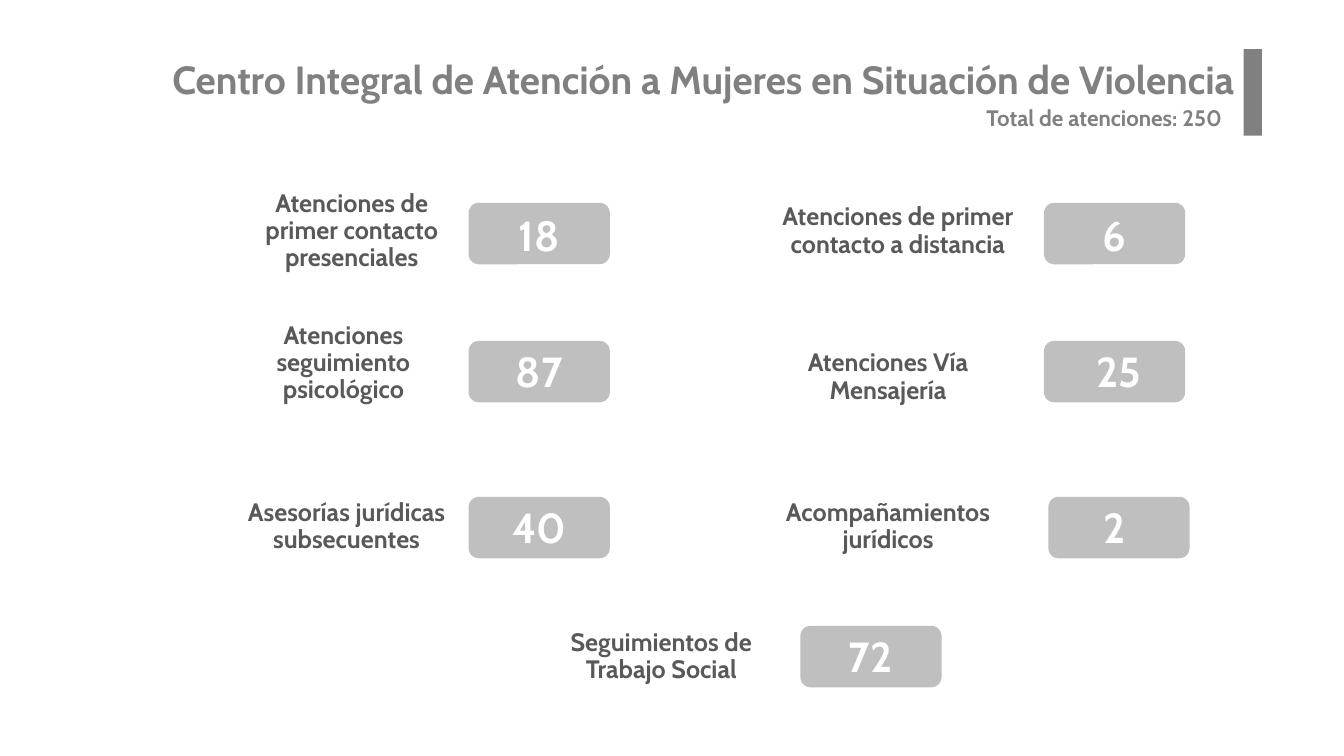
from dataclasses import dataclass

from pptx import Presentation
from pptx.dml.color import RGBColor
from pptx.enum.shapes import MSO_SHAPE
from pptx.enum.text import MSO_ANCHOR, MSO_AUTO_SIZE, PP_ALIGN
from pptx.util import Cm, Pt


@dataclass(frozen=True)
class Theme:
    font: str = "Cabin"
    heading: str = "808080"
    label: str = "595959"
    card: str = "BFBFBF"
    number: str = "FFFFFF"
    title_size: int = 28
    total_size: int = 16
    label_size: int = 18
    number_size: int = 30


theme = Theme()

presentation = Presentation()
presentation.slide_width = Cm(33.87)
presentation.slide_height = Cm(19.05)
slide = presentation.slides.add_slide(presentation.slide_layouts[6])


def add_text(text, left, top, width, height, size, color, align=PP_ALIGN.CENTER,
             anchor=MSO_ANCHOR.TOP, line_spacing=None, inset=0.25, grow=False):
    """Add a bold, wrapping text box; lengths are in centimetres."""
    box = slide.shapes.add_textbox(Cm(left), Cm(top), Cm(width), Cm(height))
    frame = box.text_frame
    frame.word_wrap = True
    frame.auto_size = MSO_AUTO_SIZE.SHAPE_TO_FIT_TEXT if grow else MSO_AUTO_SIZE.NONE
    frame.vertical_anchor = anchor
    frame.margin_left = frame.margin_right = Cm(inset)
    frame.margin_top = frame.margin_bottom = Cm(inset / 2)
    paragraph = frame.paragraphs[0]
    paragraph.alignment = align
    paragraph.line_spacing = line_spacing
    run = paragraph.add_run()
    run.text = text
    run.font.name = theme.font
    run.font.size = Pt(size)
    run.font.bold = True
    run.font.color.rgb = RGBColor.from_string(color)


def add_block(kind, left, top, width, height, color):
    """Add a filled shape without outline; lengths are in centimetres."""
    shape = slide.shapes.add_shape(kind, Cm(left), Cm(top), Cm(width), Cm(height))
    shape.shadow.inherit = False
    shape.fill.solid()
    shape.fill.fore_color.rgb = RGBColor.from_string(color)
    shape.line.fill.background()


# Heading
add_text("Centro Integral de Atención a Mujeres en Situación de Violencia",
         1.6, 1.14, 30, 2.21, theme.title_size, theme.heading,
         align=PP_ALIGN.RIGHT, inset=0.5)
add_block(MSO_SHAPE.RECTANGLE, 31.34, 1.24, 0.46, 2.18, theme.heading)
add_text("Total de atenciones: 250", 24.61, 2.49, 7.24, 0.94,
         theme.total_size, theme.heading, align=PP_ALIGN.LEFT, grow=True)

# Indicators
card_width, card_height = 3.56, 1.55
number_width = 2.64
narrow, wide = (6.15, 1.7), (6.86, 2.82)

# label, label position, label size, value, card position, number position
indicators = [
    ("Atenciones de primer contacto presenciales", (5.79, 4.98), narrow,
     18, (11.81, 5.11), (12.27, 5.16)),
    ("Atenciones de primer contacto a distancia", (19.2, 4.42), wide,
     6, (26.31, 5.11), (26.77, 5.16)),
    ("Atenciones seguimiento psicológico", (5.66, 8.31), (5.99, 1.7),
     87, (11.81, 8.59), (12.27, 8.59)),
    ("Atenciones Vía Mensajería", (18.95, 8.1), wide,
     25, (26.31, 8.59), (26.87, 8.59)),
    ("Asesorías jurídicas subsecuentes", (5.66, 12.42), narrow,
     40, (11.81, 12.52), (12.27, 12.52)),
    ("Acompañamientos jurídicos", (18.95, 11.86), wide,
     2, (26.42, 12.52), (26.77, 12.52)),
    ("Seguimientos de Trabajo Social", (13.59, 15.7), narrow,
     72, (20.17, 15.77), (20.62, 15.77)),
]

for label, label_at, label_box, value, card_at, number_at in indicators:
    add_text(label, *label_at, *label_box, theme.label_size, theme.label,
             anchor=MSO_ANCHOR.MIDDLE, line_spacing=0.9)
    add_block(MSO_SHAPE.ROUNDED_RECTANGLE, *card_at, card_width, card_height, theme.card)
    add_text(str(value), *number_at, number_width, card_height,
             theme.number_size, theme.number, grow=True)

presentation.save("out.pptx")
